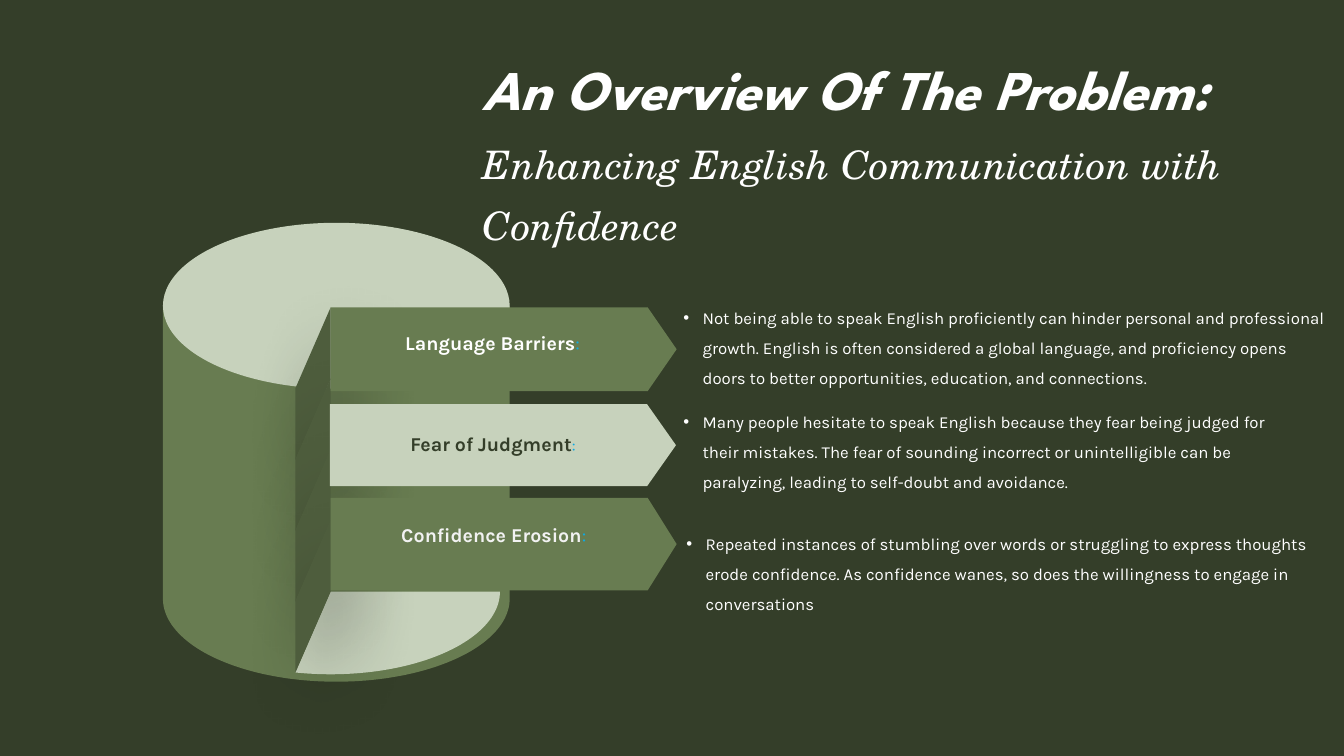
from dataclasses import dataclass
from math import cos, radians, sin

from lxml.etree import SubElement
from pptx import Presentation
from pptx.dml.color import RGBColor
from pptx.enum.shapes import MSO_SHAPE as SHAPE
from pptx.oxml.ns import qn
from pptx.util import Inches, Pt

# The slide is a grid of 40 columns by 22.5 rows of square cells.
COLS, ROWS = 40, 22.5
CELL = Inches(13.33) / COLS
DARK, GREEN, PALE, SHADE = "343E29", "687C51", "C7D2BC", "4E5D3D"
WHITE, SOFT_WHITE, BLUE = "FFFFFF", "F2F2F2", "0EAAE3"

Point = tuple[float, float]


@dataclass
class Run:
    text: str
    size: float
    color: str = WHITE
    font: str = "Karla"
    bold: bool = False
    italic: bool = False


@dataclass
class Box:
    left: float
    top: float
    width: float
    height: float

    def emu(self) -> list[int]:
        return [cells(v) for v in (self.left, self.top, self.width, self.height)]


@dataclass
class Problem:
    arrow: Box
    fill: str
    label: Run
    label_at: Point
    colon_size: float
    note: str
    note_box: Box


def cells(n: float) -> int:
    return round(n * CELL)


def rgb(color: str) -> RGBColor:
    return RGBColor.from_string(color)


def paint(s, color: str) -> None:
    s.shadow.inherit = False
    s.fill.solid()
    s.fill.fore_color.rgb = rgb(color)
    s.line.fill.background()


def arc(cx: float, cy: float, rx: float, ry: float, start: int, end: int) -> list[Point]:
    """Points on an ellipse, one every two degrees, clockwise from the right."""
    return [(cx + rx * cos(radians(a)), cy + ry * sin(radians(a)))
            for a in range(start, end + 1, 2)]


def add_outline(shapes, points: list[Point], color: str):
    first, *rest = [(cells(x), cells(y)) for x, y in points]
    builder = shapes.build_freeform(*first, scale=1.0)
    builder.add_line_segments(rest, close=True)
    s = builder.convert_to_shape()
    paint(s, color)
    return s


def add_soft_shadow(s) -> None:
    effects = s._element.spPr.find(qn("a:effectLst"))
    shadow = SubElement(effects, qn("a:outerShdw"), blurRad=str(Pt(52)), dist=str(Pt(20)),
                        dir=str(45 * 60000), algn="ctr", rotWithShape="0")
    color = SubElement(shadow, qn("a:srgbClr"), val="000000")
    SubElement(color, qn("a:alpha"), val="40000")


def add_text(shapes, box: Box, runs: list[Run]):
    """Add a wrapped one-paragraph text box without insets; return the paragraph."""
    tf = shapes.add_textbox(*box.emu()).text_frame
    tf.word_wrap = True
    tf.margin_left = tf.margin_right = tf.margin_top = tf.margin_bottom = 0
    p = tf.paragraphs[0]
    for run in runs:
        r = p.add_run()
        r.text = run.text
        r.font.name, r.font.size = run.font, Pt(run.size)
        r.font.bold, r.font.italic = run.bold, run.italic
        r.font.color.rgb = rgb(run.color)
    return p


def add_bullet(p) -> None:
    pPr = p._p.get_or_add_pPr()
    pPr.set("marL", str(Inches(0.19)))
    pPr.set("indent", str(-Inches(0.19)))
    SubElement(pPr, qn("a:buFont"), typeface="Arial")
    SubElement(pPr, qn("a:buChar"), char="•")


def add_cylinder(shapes) -> None:
    cx, rx, ry = 10.01, 5.16, 2.47
    lid_y, base_y = 9.1, 17.82
    back, front = 9.84, 8.79
    wall = arc(cx, base_y, rx, ry, 0, 180)
    add_outline(shapes, [(cx + rx, lid_y), *wall, (cx - rx, lid_y)], GREEN)
    lid = shapes.add_shape(SHAPE.OVAL, *Box(cx - rx, lid_y - ry, 2 * rx, 2 * ry).emu())
    paint(lid, PALE)
    add_outline(shapes, [(back, 17.61), *arc(back, 17.61, 5.04, 2.46, 0, 102)], PALE)

    slice_top, step, height, drop = 9.15, 2.11, 2.13, 2.41
    for i in range(4):
        top = slice_top + i * step
        corners = [(back, top), (front, top + drop),
                   (front, top + drop + height), (back, top + height)]
        add_soft_shadow(add_outline(shapes, corners, SHADE))


def add_arrow(shapes, problem: Problem) -> None:
    s = shapes.add_shape(SHAPE.PENTAGON, *problem.arrow.emu())
    s.adjustments[0] = 0.86 / problem.arrow.height
    paint(s, problem.fill)


def add_problem_text(shapes, problem: Problem) -> None:
    colon = Run(":", problem.colon_size, BLUE)
    add_text(shapes, Box(*problem.label_at, 5.88, 0.72), [problem.label, colon])
    p = add_text(shapes, problem.note_box, [Run(problem.note, 12)])
    p.line_spacing = 1.5
    add_bullet(p)


TITLE = [
    Run("An Overview Of The Problem:", 40, font="League Spartan", bold=True, italic=True),
    Run(" ", 54, font="League Spartan", bold=True, italic=True),
    Run("Enhancing English Communication with Confidence", 28,
        font="TeX Gyre Schola", italic=True),
]

PROBLEMS = [
    Problem(Box(9.84, 9.15, 10.3, 2.49), GREEN,
            Run("Language Barriers", 14, WHITE, bold=True), (12.06, 9.84), 14,
            "Not being able to speak English proficiently can hinder personal and "
            "professional growth. English is often considered a global language, and "
            "proficiency opens doors to better opportunities, education, and connections.",
            Box(20.34, 8.85, 19.1, 3.33)),
    Problem(Box(9.82, 12.03, 10.3, 2.44), PALE,
            Run("Fear of Judgment", 14, DARK, bold=True), (12.21, 12.84), 12,
            "Many people hesitate to speak English because they fear being judged for "
            "their mistakes. The fear of sounding incorrect or unintelligible can be "
            "paralyzing, leading to self-doubt and avoidance.",
            Box(20.34, 11.94, 17.8, 3.5)),
    Problem(Box(9.84, 14.82, 10.3, 2.75), GREEN,
            Run("Confidence Erosion", 14, SOFT_WHITE, bold=True), (11.94, 15.57), 14,
            "Repeated instances of stumbling over words or struggling to express "
            "thoughts erode confidence. As confidence wanes, so does the willingness "
            "to engage in conversations",
            Box(20.43, 15.57, 18.63, 2.61)),
]


def main() -> None:
    prs = Presentation()
    prs.slide_width, prs.slide_height = cells(COLS), cells(ROWS)
    slide = prs.slides.add_slide(prs.slide_layouts[6])
    slide.background.fill.solid()
    slide.background.fill.fore_color.rgb = rgb(DARK)

    add_cylinder(slide.shapes)
    for problem in PROBLEMS:
        add_arrow(slide.shapes, problem)
    for problem in PROBLEMS:
        add_problem_text(slide.shapes, problem)
    add_text(slide.shapes, Box(14.37, 1.9, 25.6, 5.5), TITLE).line_spacing = Pt(44)

    prs.save("out.pptx")


if __name__ == "__main__":
    main()
